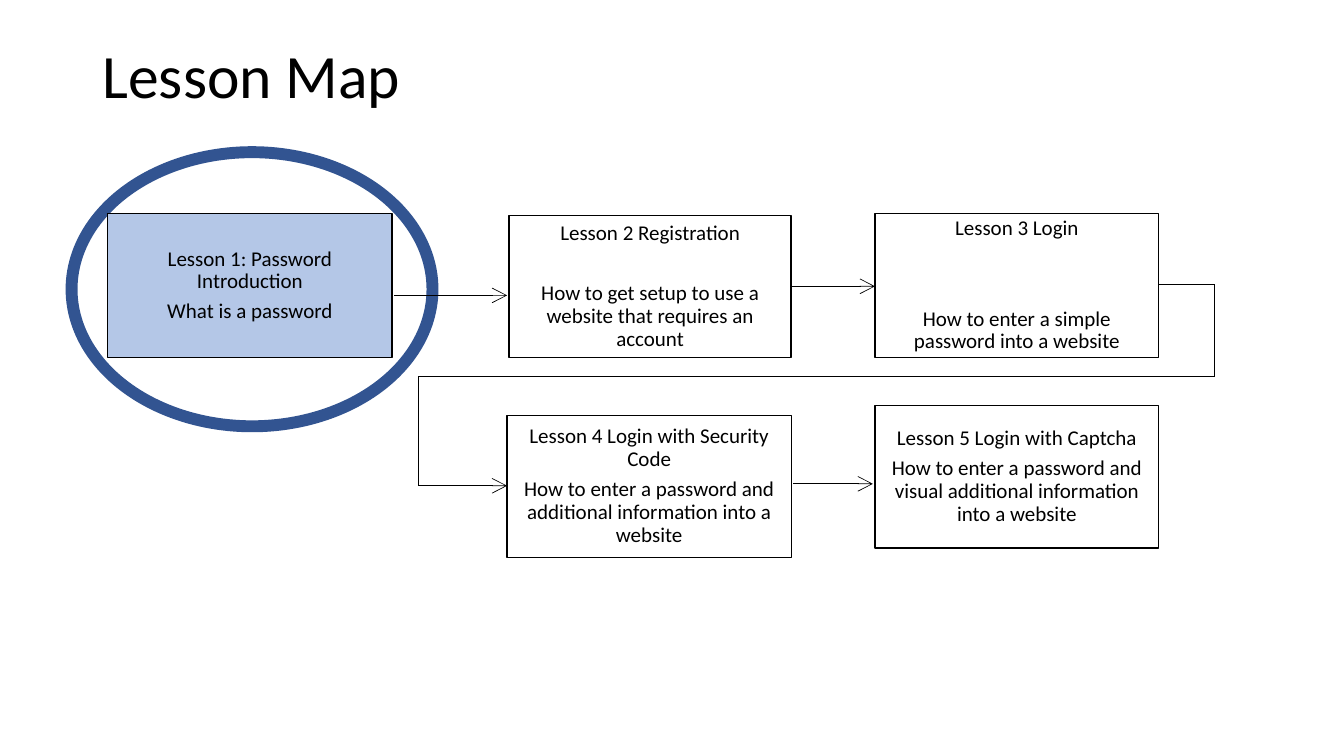
from itertools import pairwise

from lxml.etree import SubElement
from pptx import Presentation
from pptx.dml.color import RGBColor
from pptx.enum.shapes import MSO_CONNECTOR, MSO_SHAPE
from pptx.enum.text import MSO_ANCHOR, PP_ALIGN
from pptx.oxml.ns import qn
from pptx.util import Pt

FONT = "Calibri"
BLACK = "000000"
LESSON_SIZE = 15
PARAGRAPH_GAP = 5.3
BLANK_ROW = 21.5

LESSONS = [
    ((77, 152.6, 203, 103), "B4C7E7", 0,
     "Lesson 1: Password Introduction", "What is a password"),
    ((363.6, 154.1, 201.6, 101.5), "FFFFFF", 1,
     "Lesson 2 Registration",
     "How to get setup to use a website that requires an account"),
    ((625, 152.6, 202.6, 103), "FFFFFF", 2,
     "Lesson 3 Login", "How to enter a simple password into a website"),
    ((362.2, 296.6, 203, 101.5), "FFFFFF", 0,
     "Lesson 4 Login with Security Code",
     "How to enter a password and additional information into a website"),
    ((625, 289.6, 202.6, 101.8), "FFFFFF", 0,
     "Lesson 5 Login with Captcha",
     "How to enter a password and visual additional information into a website"),
]

ROUTES = [
    [(281.5, 211), (362.2, 211)],
    [(565.2, 204.5), (625, 204.5)],
    [(827.6, 203), (867.6, 203), (867.6, 268.6),
     (298.8, 268.6), (298.8, 347), (362.2, 347)],
    [(566.6, 345.6), (623.5, 345.6)],
]


def color(value):
    return RGBColor.from_string(value)


def points(values):
    return [Pt(value) for value in values]


def add_span(para, text, size):
    span = para.add_run()
    span.text = text
    span.font.name = FONT
    span.font.size = Pt(size)
    span.font.color.rgb = color(BLACK)
    para.line_spacing = 0.9


def place_title(page, box):
    title = page.shapes.title
    title.left, title.top, title.width, title.height = points(box)
    title.text_frame.vertical_anchor = MSO_ANCHOR.TOP
    para = title.text_frame.paragraphs[0]
    para.alignment = PP_ALIGN.LEFT
    add_span(para, "Lesson Map", 44)


def add_highlight(page, box):
    ring = page.shapes.add_shape(MSO_SHAPE.OVAL, *points(box))
    ring.shadow.inherit = False
    ring.fill.background()
    ring.line.color.rgb = color("325491")
    ring.line.width = Pt(8.5)


def add_lesson(page, box, fill, blank_rows, heading, summary):
    card = page.shapes.add_shape(MSO_SHAPE.RECTANGLE, *points(box))
    card.shadow.inherit = False
    card.fill.solid()
    card.fill.fore_color.rgb = color(fill)
    card.line.color.rgb = color(BLACK)
    card.line.width = Pt(1)
    frame = card.text_frame
    frame.word_wrap = True
    frame.vertical_anchor = MSO_ANCHOR.MIDDLE
    frame.margin_left = frame.margin_right = Pt(10)
    frame.margin_top = frame.margin_bottom = Pt(10.8)
    for para, text in ((frame.paragraphs[0], heading),
                       (frame.add_paragraph(), summary)):
        para.alignment = PP_ALIGN.CENTER
        add_span(para, text, LESSON_SIZE)
    frame.paragraphs[0].space_after = Pt(PARAGRAPH_GAP + BLANK_ROW * blank_rows)


def add_route(page, stops):
    for start, end in pairwise(stops):
        link = page.shapes.add_connector(
            MSO_CONNECTOR.STRAIGHT, *points(start + end))
        link.line.color.rgb = color(BLACK)
        link.line.width = Pt(0.5)
        properties = link.element.spPr
        if end == stops[-1]:
            SubElement(properties.find(qn("a:ln")), qn("a:tailEnd"),
                       type="arrow", w="lg", len="lg")
        SubElement(properties, qn("a:effectLst"))


def build_lesson_map(deck):
    page = deck.slides.add_slide(deck.slide_layouts[5])
    place_title(page, (66, 28.8, 828, 104.4))
    add_highlight(page, (51.1, 108.7, 257.8, 195.8))
    for lesson in LESSONS:
        add_lesson(page, *lesson)
    for stops in ROUTES:
        add_route(page, stops)


deck = Presentation()
deck.slide_width, deck.slide_height = Pt(960), Pt(540)
build_lesson_map(deck)
deck.save("out.pptx")
